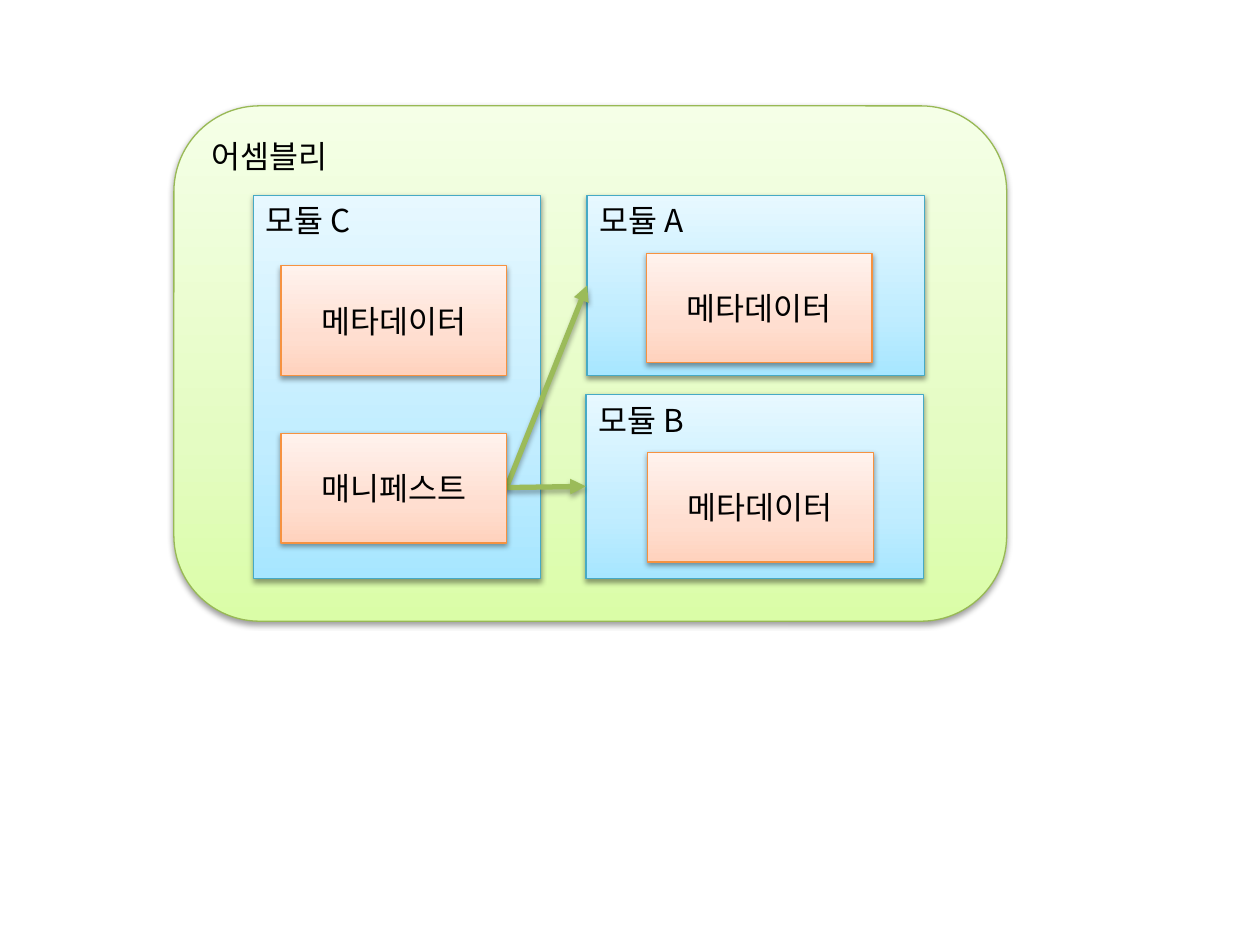
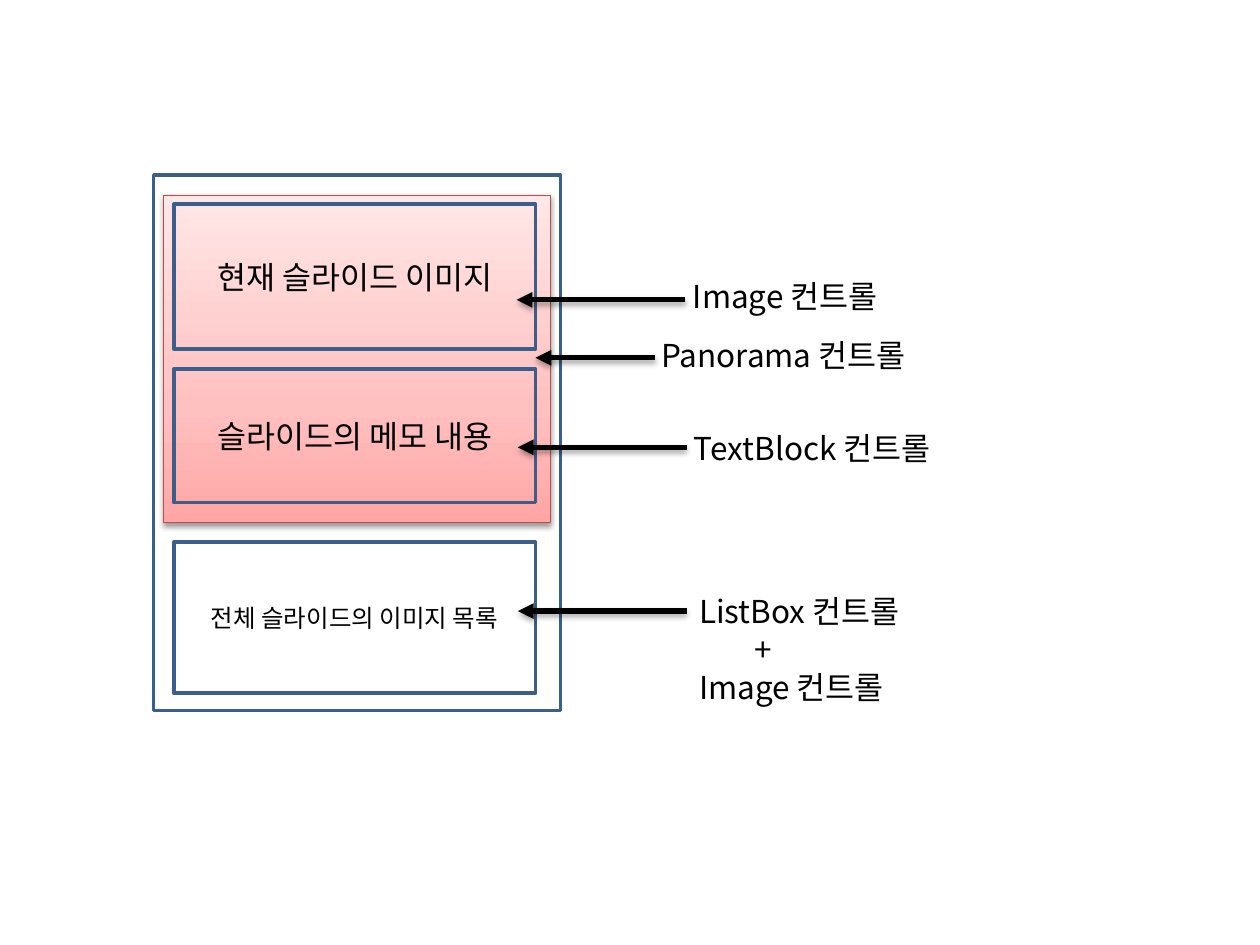
from lxml import etree
from pptx import Presentation
from pptx.dml.color import RGBColor
from pptx.enum.shapes import MSO_CONNECTOR, MSO_SHAPE
from pptx.enum.text import MSO_ANCHOR, MSO_AUTO_SIZE, PP_ALIGN
from pptx.oxml.ns import qn
from pptx.util import Inches, Pt

RECTANGLE = MSO_SHAPE.RECTANGLE
ROUNDED = MSO_SHAPE.ROUNDED_RECTANGLE
STRAIGHT = MSO_CONNECTOR.STRAIGHT
TOP, MIDDLE = MSO_ANCHOR.TOP, MSO_ANCHOR.MIDDLE
LEFT, CENTER = PP_ALIGN.LEFT, PP_ALIGN.CENTER
GROW = MSO_AUTO_SIZE.SHAPE_TO_FIT_TEXT

WIDTH, HEIGHT = Inches(10), Inches(7.5)
COLUMNS, ROWS = 100, 75
FONT = "Noto Sans CJK KR"
BLACK, OLIVE, NAVY = "000000", "9BBB59", "3A5F8C"
STOPS = (0, 35, 100)
GREEN = {"border": "98B955", "shades": ("DAFDA7", "E4FCC2", "F5FFE7")}
BLUE = {"border": "46AAC5", "shades": ("A7E6FF", "C1EDFF", "E7F8FF")}
ORANGE = {"border": "F69240", "shades": ("FFD2BD", "FFDED0", "FFF2ED")}
RED = {"border": "BF4C48", "shades": ("FFA6A5", "FFC0BF", "FFE7E7")}
OUTLINE = {"border": NAVY, "weight": 2}
CAPTION = {"align": LEFT, "anchor": TOP}


def color(value):
    return RGBColor.from_string(value)


def across(columns):
    return round(WIDTH * columns / COLUMNS)


def down(rows):
    return round(HEIGHT * rows / ROWS)


def place(left, top, width, height):
    return across(left), down(top), across(width), down(height)


def add_color(parent, value):
    return etree.SubElement(parent, qn("a:srgbClr"), val=value)


def cast_shadow(effects, distance, opacity):
    shadow = etree.SubElement(effects, qn("a:outerShdw"), blurRad="40000",
                              dist=str(distance), dir="5400000", rotWithShape="0")
    etree.SubElement(add_color(shadow, BLACK), qn("a:alpha"), val=str(opacity * 1000))


def shade(shape, shades):
    shape.fill.gradient()
    shape.fill.gradient_angle = 90
    stops = shape._element.spPr.find(qn("a:gradFill")).find(qn("a:gsLst"))
    for stop in list(stops):
        stops.remove(stop)
    for position, value in zip(STOPS, shades):
        add_color(etree.SubElement(stops, qn("a:gs"), pos=str(position * 1000)), value)
    cast_shadow(shape._element.spPr.find(qn("a:effectLst")), 20000, 38)


def write(frame, *lines, size=18, align=LEFT, anchor=TOP, indents=None):
    frame.word_wrap = True
    frame.vertical_anchor = anchor
    for index, line in enumerate(lines):
        paragraph = frame.add_paragraph() if index else frame.paragraphs[0]
        paragraph.alignment = align
        if indents and indents[index]:
            paragraph._p.get_or_add_pPr().set("marL", str(across(indents[index])))
        run = paragraph.add_run()
        run.text = line
        run.font.size = Pt(size)
        run.font.name = FONT
        run.font.color.rgb = color(BLACK)
        etree.SubElement(run._r.rPr, qn("a:ea"), typeface=FONT)


def box(slide, area, text="", kind=RECTANGLE, border=NAVY, shades=None,
        weight=0.75, align=CENTER, anchor=MIDDLE, size=18):
    shape = slide.shapes.add_shape(kind, *place(*area))
    shape.shadow.inherit = False
    shape.line.color.rgb = color(border)
    shape.line.width = Pt(weight)
    if shades:
        shade(shape, shades)
    else:
        shape.fill.background()
    if text:
        write(shape.text_frame, text, size=size, align=align, anchor=anchor)


def label(slide, area, *lines, indents=None):
    frame = slide.shapes.add_textbox(*place(*area)).text_frame
    write(frame, *lines, indents=indents)
    frame.auto_size = GROW


def arrow(slide, start, end, tint):
    connector = slide.shapes.add_connector(
        STRAIGHT, across(start[0]), down(start[1]), across(end[0]), down(end[1]))
    connector.line.color.rgb = color(tint)
    connector.line.width = Pt(3)
    properties = connector._element.spPr
    etree.SubElement(properties.find(qn("a:ln")), qn("a:tailEnd"), type="triangle")
    cast_shadow(etree.SubElement(properties, qn("a:effectLst")), 23000, 35)


def draw_assembly(slide):
    box(slide, (13.8, 8.4, 66.1, 40.9), "어셈블리", ROUNDED, **GREEN, **CAPTION)
    modules = {
        "모듈 C": (20.1, 15.5, 22.8, 30.4),
        "모듈 A": (46.6, 15.5, 26.8, 14.3),
        "모듈 B": (46.5, 31.3, 26.8, 14.6),
    }
    for name, area in modules.items():
        box(slide, area, name, **BLUE, **CAPTION)
    for module in ("모듈 A", "모듈 B"):
        left, top, _, height = modules[module]
        arrow(slide, (40.2, 38.7), (left, top + height / 2), OLIVE)
    parts = [("매니페스트", 22.3, 34.4), ("메타데이터", 22.3, 21.1),
             ("메타데이터", 51.3, 20.1), ("메타데이터", 51.4, 35.9)]
    for name, left, top in parts:
        box(slide, (left, top, 17.9, 8.7), name, **ORANGE)


def draw_screen_layout(slide):
    box(slide, (12.2, 13.9, 32.3, 42.5), **OUTLINE)
    box(slide, (13, 15.5, 30.7, 26), **RED)
    panels = [("현재 슬라이드 이미지", 16.2, 11.5, 18),
              ("슬라이드의 메모 내용", 29.3, 10.6, 18),
              ("전체 슬라이드의 이미지 목록", 43, 12, 14)]
    for name, top, height, size in panels:
        box(slide, (13.8, top, 28.7, height), name, size=size, **OUTLINE)
    for start, end, row in [(54.4, 41, 23.8), (52, 42.5, 28.4),
                            (54.5, 41.1, 35.5), (54.5, 41.1, 48.5)]:
        arrow(slide, (start, row), (end, row), BLACK)
    label(slide, (54, 21.5, 18.5, 4), "Image 컨트롤")
    label(slide, (51.5, 26.2, 22.6, 4), "Panorama 컨트롤")
    label(slide, (54.1, 33.6, 21.7, 4), "TextBlock 컨트롤")
    label(slide, (54.5, 46.5, 19.6, 10.1), "ListBox 컨트롤", "+", "Image 컨트롤",
          indents=(0, 4.4, 0))


def main():
    deck = Presentation()
    deck.slide_width, deck.slide_height = WIDTH, HEIGHT
    blank = deck.slide_layouts[6]
    for draw in (draw_assembly, draw_screen_layout):
        draw(deck.slides.add_slide(blank))
    deck.save("out.pptx")


if __name__ == "__main__":
    main()
